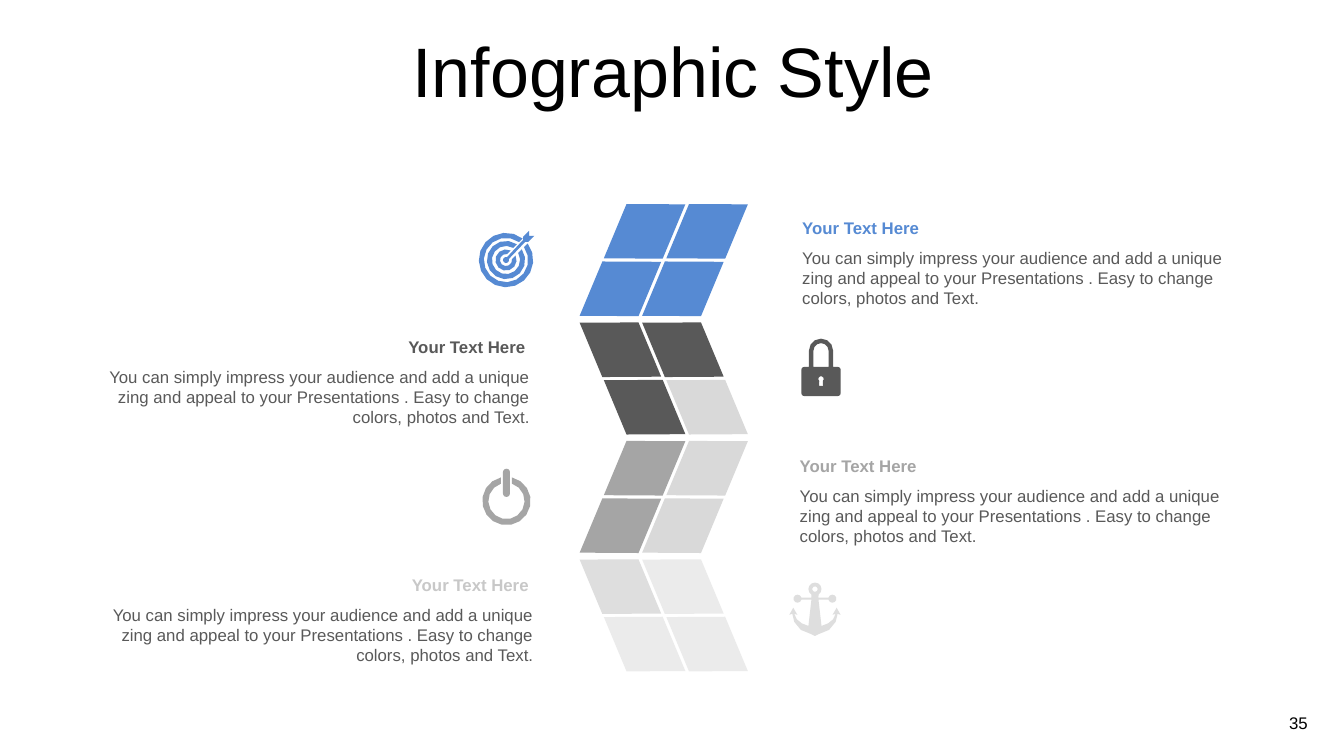
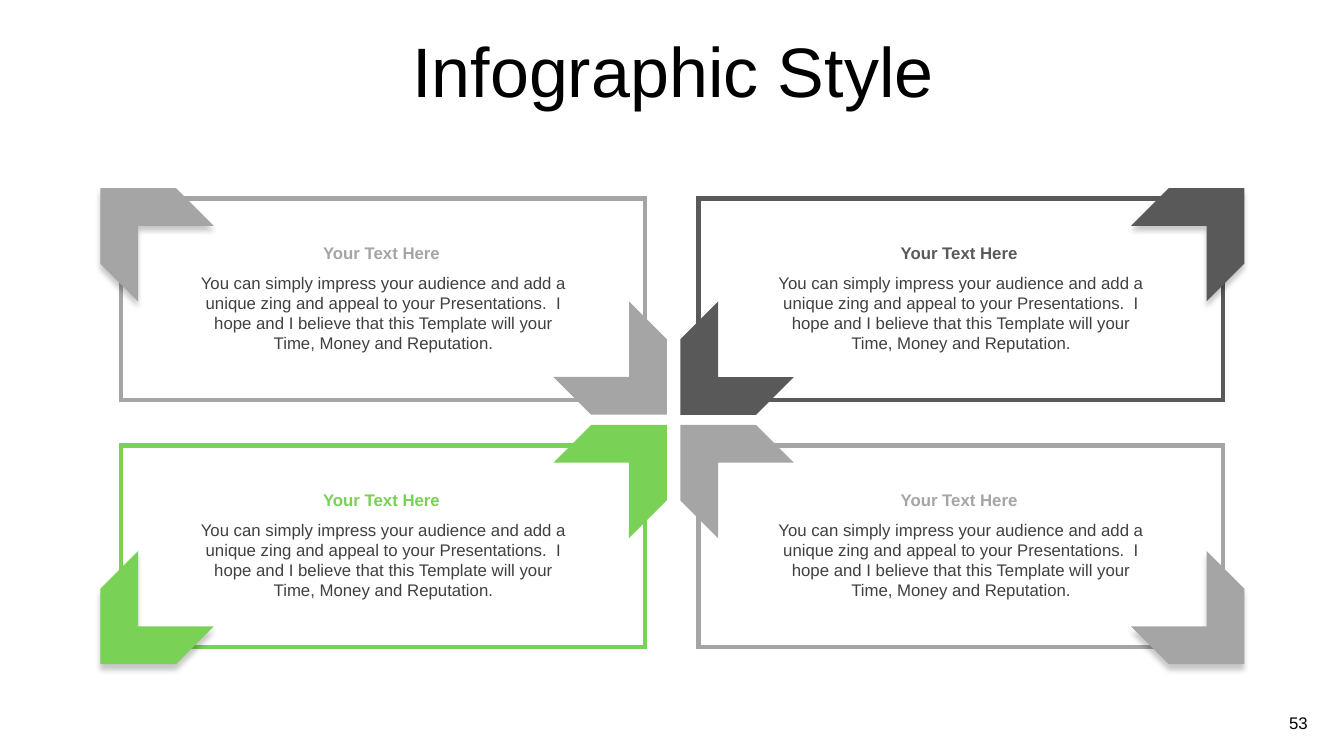
import math
from dataclasses import dataclass

import pptx
import pptx.dml.color
import pptx.enum.shapes
import pptx.enum.text
import pptx.oxml
import pptx.oxml.ns
import pptx.presentation
import pptx.shapes.autoshape
import pptx.slide
import pptx.util

Slide = pptx.slide.Slide
Shape = pptx.shapes.autoshape.Shape
Kind = pptx.enum.shapes.MSO_SHAPE
Align = pptx.enum.text.PP_ALIGN
Point = tuple[float, float]
Curve = list[Point]


@dataclass(frozen=True)
class Paint:
    hue: str
    alpha: int = 100


@dataclass(frozen=True)
class Theme:
    font: str = "Arial"
    head: int = 50
    text: int = 12
    edge: int = 3
    unit: int = pptx.util.Inches(0.1)
    cols: float = 133.33
    rows: float = 75
    black: Paint = Paint("000000")
    white: Paint = Paint("FFFFFF")
    ink: Paint = Paint("404040")
    dark: Paint = Paint("595959")
    mid: Paint = Paint("A5A5A5")
    soft: Paint = Paint("C8C8C8")
    light: Paint = Paint("DEDEDE")
    pale: Paint = Paint("D9D9D9")
    faint: Paint = Paint("D9D9D9", 50)
    blue: Paint = Paint("568AD3")
    green: Paint = Paint("79D155")


LOOK = Theme()


@dataclass(frozen=True)
class Box:
    col: float
    row: float
    wide: float
    high: float

    def span(self) -> tuple[int, int, int, int]:
        return (grid(self.col), grid(self.row), grid(self.wide), grid(self.high))


@dataclass(frozen=True)
class Note:
    col: float
    row: float
    wide: float
    paint: Paint
    align: Align
    inset: float = 0
    plate: bool = False


@dataclass(frozen=True)
class Icon:
    col: float
    row: float
    paint: Paint
    curves: list[Curve]


@dataclass(frozen=True)
class Card:
    col: int
    row: int
    paint: Paint


def grid(count: float) -> int:
    return round(count * LOOK.unit)


def tone(paint: Paint) -> pptx.dml.color.RGBColor:
    return pptx.dml.color.RGBColor.from_string(paint.hue)


def tint(shape: Shape, paint: Paint) -> None:
    shape.shadow.inherit = False
    shape.line.fill.background()
    shape.fill.solid()
    shape.fill.fore_color.rgb = tone(paint)
    if paint.alpha < 100:
        hue = shape._element.spPr.find(".//" + pptx.oxml.ns.qn("a:srgbClr"))
        hue.append(hue.makeelement(pptx.oxml.ns.qn("a:alpha"), {"val": str(paint.alpha * 1000)}))


def form(slide: Slide, kind: Kind, box: Box, paint: Paint, turn: float = 0) -> Shape:
    shape = slide.shapes.add_shape(kind, *box.span())
    shape.rotation = turn
    tint(shape, paint)
    return shape


def frame(shape: Shape, paint: Paint) -> None:
    shape.line.color.rgb = tone(paint)
    shape.line.width = pptx.util.Pt(LOOK.edge)
    line = shape._element.spPr.find(pptx.oxml.ns.qn("a:ln"))
    line.append(line.makeelement(pptx.oxml.ns.qn("a:miter"), {"lim": "800000"}))


def cast(shape: Shape) -> None:
    reach = pptx.util.Pt(4)
    shade = shape._element.spPr.find(pptx.oxml.ns.qn("a:effectLst"))
    shade.append(pptx.oxml.parse_xml(
        f'<a:outerShdw {pptx.oxml.ns.nsdecls("a")} blurRad="{reach}" dist="{reach}" '
        'dir="5400000" algn="t" rotWithShape="0">'
        '<a:srgbClr val="000000"><a:alpha val="22000"/></a:srgbClr></a:outerShdw>'))


def fill(shape: Shape, words: str, paint: Paint, size: int,
         align: Align = Align.LEFT, bold: bool = False, wrap: bool = True) -> None:
    shape.text_frame.word_wrap = wrap
    shape.text_frame.text = words
    line = shape.text_frame.paragraphs[0]
    line.alignment = align
    for run in line.runs:
        run.font.name = LOOK.font
        run.font.size = pptx.util.Pt(size)
        run.font.bold = bold
        run.font.color.rgb = tone(paint)


def start(deck: pptx.presentation.Presentation, page: int) -> Slide:
    slide = deck.slides.add_slide(deck.slide_layouts[6])
    title = slide.shapes.add_textbox(*Box(3.5, 3.7, 126.6, 7.9).span())
    fill(title, "Infographic Style", LOOK.black, LOOK.head, Align.CENTER)
    title.text_frame.vertical_anchor = pptx.enum.text.MSO_ANCHOR.MIDDLE
    title.text_frame.margin_top = grid(1)
    title.text_frame.paragraphs[0].line_spacing = 0.7
    title.text_frame.paragraphs[0].space_before = pptx.util.Pt(10)
    number = slide.shapes.add_textbox(*Box(126.9, 70.2, 4.1, 3).span())
    fill(number, str(page), LOOK.black, LOOK.text, wrap=False)
    return slide


def label(slide: Slide, note: Note, words: str, paint: Paint, high: float) -> None:
    body = slide.shapes.add_textbox(*Box(note.col, note.row + 3, note.wide, high).span())
    fill(body, words, paint, LOOK.text, note.align)
    box = Box(note.col, note.row, note.wide - note.inset, 3)
    if note.plate:
        head = form(slide, Kind.RECTANGLE, box, LOOK.white)
    else:
        head = slide.shapes.add_textbox(*box.span())
    fill(head, "Your Text Here", note.paint, LOOK.text, note.align, bold=True)


def arc(x: float, y: float, size: float, first: float = 0, last: float = 360) -> Curve:
    steps = math.ceil(abs(last - first) / 360 * (8 + 3 * size))
    turns = [math.radians(first + (last - first) * i / steps) for i in range(steps + 1)]
    return [(x + size * math.cos(turn), y + size * math.sin(turn)) for turn in turns]


def ring(outer: float, inner: float, mid: float, gap: float) -> Curve:
    far, near = (math.degrees(math.asin(gap / size)) for size in (outer, inner))
    return (arc(0, 0, outer, mid + far, mid + 360 - far)
            + arc(0, 0, inner, mid + 360 - near, mid + near))


def pill(left: float, top: float, right: float, base: float, size: float) -> Curve:
    return (arc(left + size, top + size, size, 180, 270)
            + arc(right - size, top + size, size, 270, 360)
            + arc(right - size, base - size, size, 0, 90)
            + arc(left + size, base - size, size, 90, 180))


def target() -> list[Curve]:
    rings = [ring(outer, inner, -45, 0.35) for outer, inner in ((2.7, 2.2), (1.9, 1.4), (1.05, 0.6))]
    dart = [(1.9, -1.8), (2.2, -1.8), (2.8, -2.4), (2.3, -2.4), (2.3, -2.9), (1.7, -2.3), (1.7, -2)]
    return rings + [arc(0, 0, 0.3, -20, 290) + dart[::-1]]


def power() -> list[Curve]:
    return [ring(2.4, 1.8, -90, 0.55), pill(-0.35, -3.2, 0.35, -0.4, 0.35)]


def lock() -> list[Curve]:
    bow = ([(-1.2, 0)] + arc(0, -1.6, 1.2, 180, 360) + [(1.2, 0), (0.75, 0)]
           + arc(0, -1.6, 0.75, 360, 180) + [(-0.75, 0)])
    hole = arc(0, 1.2, 0.27, 130, 410) + [(0.2, 1.9), (-0.2, 1.9)]
    return [bow, pill(-1.95, 0, 1.95, 2.9, 0.3), hole]


def anchor() -> list[Curve]:
    half = (arc(0, 0, 0.65, -90, 57) + [(0.35, 0.85), (1.35, 0.85)]
            + arc(1.73, 0.95, 0.4, 195, 525)
            + [(0.35, 1.05), (0.65, 3.65), (1.3, 3.4), (1.8, 3), (2.05, 2.45), (1.75, 2.55),
               (2.15, 1.85), (2.55, 2.55), (2.25, 2.45), (2.05, 3.25), (1.4, 4.05),
               (0.4, 4.45), (0, 4.65)])
    return [half + [(-x, y) for x, y in half[-2:0:-1]], arc(0, 0, 0.27)]


def draw(slide: Slide, icon: Icon) -> None:
    curves = [[(grid(x), grid(y)) for x, y in curve] for curve in icon.curves]
    pen = slide.shapes.build_freeform(*curves[0][0])
    for curve in curves:
        if curve is not curves[0]:
            pen.move_to(*curve[0])
        pen.add_line_segments(curve[1:], close=True)
    tint(pen.convert_to_shape(grid(icon.col), grid(icon.row)), icon.paint)


def tower(slide: Slide) -> None:
    bands = [
        (LOOK.blue,) * 4,
        (LOOK.dark, LOOK.dark, LOOK.dark, LOOK.pale),
        (LOOK.mid, LOOK.pale, LOOK.mid, LOOK.pale),
        (LOOK.light, LOOK.faint, LOOK.faint, LOOK.faint),
    ]
    for band, paints in enumerate(bands):
        for place, paint in enumerate(paints):
            row, col = divmod(place, 2)
            shift = 2.4 if row == band % 2 else 0
            box = Box(56.7 + 6.2 * col + shift, 19.7 + 11.75 * band + 5.7 * row, 9.7, 6.5)
            form(slide, Kind.FLOWCHART_DECISION, box, paint, 33.5 if band % 2 else 326.5)

    words = ("You can simply impress your audience and add a unique zing and appeal to your "
             "Presentations . Easy to change colors, photos and Text.")
    for note in (
        Note(78.6, 21.1, 45.1, LOOK.blue, Align.LEFT),
        Note(7.95, 32.9, 45.6, LOOK.dark, Align.RIGHT, 0.45),
        Note(78.35, 44.7, 45.1, LOOK.mid, Align.LEFT),
        Note(8.3, 56.5, 45.6, LOOK.soft, Align.RIGHT, 0.45, plate=True),
    ):
        label(slide, note, words, LOOK.dark, 7.1)

    for icon in (
        Icon(50.2, 25.8, LOOK.blue, target()),
        Icon(81.45, 36.4, LOOK.dark, lock()),
        Icon(50.25, 49.7, LOOK.mid, power()),
        Icon(80.85, 58.45, LOOK.light, anchor()),
    ):
        draw(slide, icon)


def cards(slide: Slide) -> None:
    words = ("You can simply impress your audience and add a unique zing and appeal to your "
             "Presentations.  I hope and I believe that this Template will your Time, "
             "Money and Reputation.")
    turns = {(0, 0): 225, (1, 0): 315, (1, 1): 45, (0, 1): 135}
    outer = ((8.4, 114.4), (17.1, 56.85))
    inner = ((57.1, 65.95), (32.1, 40.6))
    for card in (
        Card(0, 1, LOOK.green),
        Card(0, 0, LOOK.mid),
        Card(1, 0, LOOK.dark),
        Card(1, 1, LOOK.mid),
    ):
        left, top = 12 + 57.3 * card.col, 19.7 + 24.5 * card.row
        panel = form(slide, Kind.RECTANGLE, Box(left, top, 52, 20), LOOK.white)
        frame(panel, card.paint)
        turn = turns[card.col, card.row]
        for (cols, rows), angle in ((inner, (turn + 180) % 360), (outer, turn)):
            box = Box(cols[card.col], rows[card.row], 10.6, 10.6)
            mark = form(slide, Kind.CHEVRON, box, card.paint, angle)
            if cols is outer[0]:
                cast(mark)
        note = Note(left + 6.65, top + 3.85, 38.8, card.paint, Align.CENTER, 0.4)
        label(slide, note, words, LOOK.ink, 9.1)


def main() -> None:
    deck = pptx.Presentation()
    deck.slide_width = grid(LOOK.cols)
    deck.slide_height = grid(LOOK.rows)
    tower(start(deck, 35))
    cards(start(deck, 53))
    deck.save("out.pptx")


if __name__ == "__main__":
    main()
